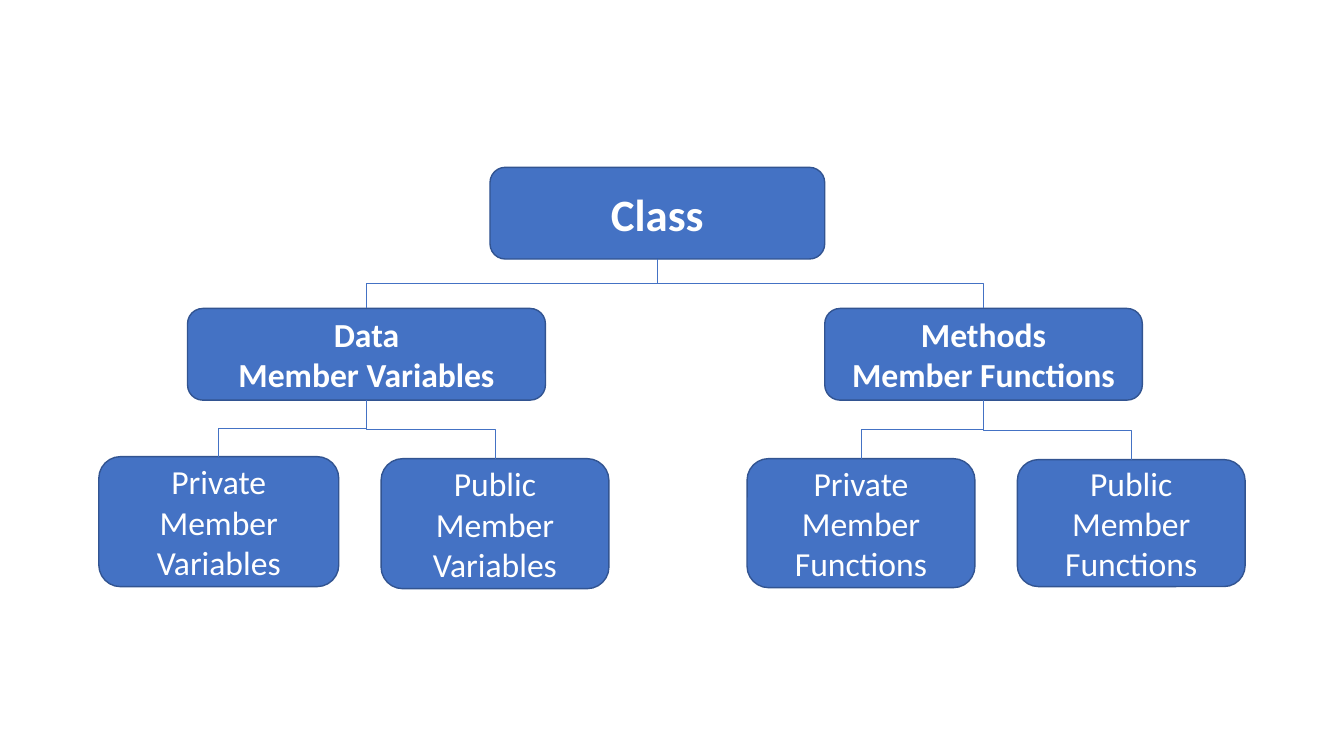
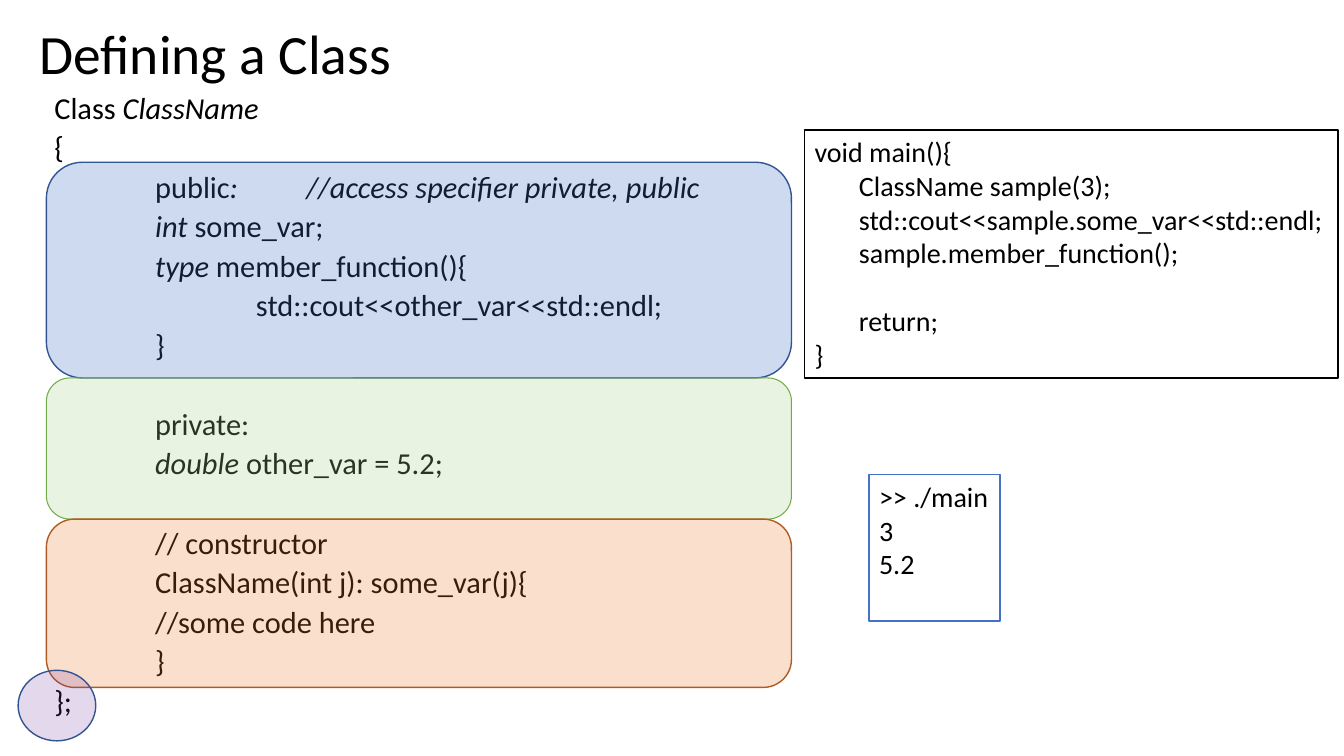
from dataclasses import dataclass
from typing import NamedTuple

from lxml import etree
from pptx import Presentation
from pptx.dml.color import RGBColor
from pptx.enum.shapes import MSO_CONNECTOR, MSO_SHAPE
from pptx.enum.text import MSO_ANCHOR, PP_ALIGN
from pptx.oxml.ns import qn
from pptx.util import Inches, Pt

ELBOW = MSO_CONNECTOR.ELBOW
ROUNDED, OVAL, RECT = MSO_SHAPE.ROUNDED_RECTANGLE, MSO_SHAPE.OVAL, MSO_SHAPE.RECTANGLE
TOP, MIDDLE = MSO_ANCHOR.TOP, MSO_ANCHOR.MIDDLE
LEFT, CENTER = PP_ALIGN.LEFT, PP_ALIGN.CENTER
TITLE_ONLY, BLANK = 5, 6
SITE_TOP, SITE_BOTTOM = 0, 2


@dataclass(frozen=True)
class Theme:
    font: str = "Calibri"
    text: str = "000000"
    white: str = "FFFFFF"
    blue: str = "4472C4"
    blue_line: str = "325491"
    green: str = "A9D18E"
    green_line: str = "70AD47"
    orange: str = "ED7D31"
    orange_line: str = "AF5C24"
    purple: str = "7030A0"
    title_size: float = 39.6
    root_size: float = 32
    node_size: float = 24
    body_size: float = 21.7
    code_size: float = 20


class Box(NamedTuple):
    x: float
    y: float
    w: float
    h: float

    def inner(self, dx, dy, w, h):
        return Box(self.x + dx, self.y + dy, w, h)

    def lengths(self):
        return [Inches(v) for v in self]


T = Theme()


def rgb(color):
    return RGBColor.from_string(color)


def style_runs(p, size, color=T.text, bold=False):
    for r in p.runs:
        r.font.name = T.font
        r.font.size = Pt(size)
        r.font.color.rgb = rgb(color)
        r.font.bold = bold


def add_lines(tf, lines, size, align=LEFT, color=T.text, bold=False):
    tf.text = "\n".join(lines)
    for p in tf.paragraphs:
        p.alignment = align
        style_runs(p, size, color, bold)


def indent(p, inches):
    pPr = p._p.get_or_add_pPr()
    pPr.set("marL", str(Inches(inches)))
    pPr.set("indent", "0")


def add_panel(s, kind, box, fill, line, width=1, alpha=None):
    sp = s.shapes.add_shape(kind, *box.lengths())
    sp.shadow.inherit = False
    sp.fill.solid()
    sp.fill.fore_color.rgb = rgb(fill)
    if alpha is not None:
        color = sp.fill._xPr.find(".//" + qn("a:srgbClr"))
        etree.SubElement(color, qn("a:alpha")).set("val", str(alpha * 1000))
    sp.line.color.rgb = rgb(line)
    sp.line.width = Pt(width)
    return sp


def add_node(s, box, lines, size=T.node_size, bold=False):
    sp = add_panel(s, ROUNDED, box, T.blue, T.blue_line)
    sp.text_frame.word_wrap = True
    sp.text_frame.vertical_anchor = MIDDLE
    add_lines(sp.text_frame, lines, size, CENTER, T.white, bold)
    return sp


def link(s, parent, child):
    x0, y0 = parent.left + parent.width // 2, parent.top + parent.height
    x1, y1 = child.left + child.width // 2, child.top
    cx, cy = (x0 + x1) // 2, (y0 + y1) // 2
    side = 1 if x1 > x0 else -1
    half_w, half_h = side * (y1 - y0) // 2, abs(x1 - x0) // 2
    line = s.shapes.add_connector(ELBOW, x0, y0, x1, y1)
    line.begin_connect(parent, SITE_BOTTOM)
    line.end_connect(child, SITE_TOP)
    line.begin_x, line.begin_y = cx + half_w, cy - half_h
    line.end_x, line.end_y = cx - half_w, cy + half_h
    line.rotation = 270 if side > 0 else 90
    line.line.color.rgb = rgb(T.blue)
    line.line.width = Pt(0.5)
    etree.SubElement(line._element.spPr, qn("a:effectLst"))


def add_class_tree(s, box):
    root = add_node(s, box.inner(3.88, 0, 3.32, 0.91), ["Class"], T.root_size, True)
    branches = [
        ((0.88, 1.4, 3.55, 0.91), ["Data", "Member Variables"], [
            ((0, 2.87, 2.38, 1.29), ["Private", "Member Variables"]),
            ((2.8, 2.89, 2.26, 1.29), ["Public", "Member Variables"])]),
        ((7.2, 1.4, 3.15, 0.91), ["Methods", "Member Functions"], [
            ((6.43, 2.89, 2.26, 1.28), ["Private", "Member Functions"]),
            ((9.11, 2.9, 2.26, 1.26), ["Public", "Member Functions"])]),
    ]
    for place, lines, leaves in branches:
        branch = add_node(s, box.inner(*place), lines, bold=True)
        link(s, root, branch)
        for leaf_place, leaf_lines in leaves:
            link(s, branch, add_node(s, box.inner(*leaf_place), leaf_lines))


def add_title(s, box, text):
    sp = s.shapes.title
    sp.left, sp.top, sp.width, sp.height = box.lengths()
    sp.text_frame.vertical_anchor = MIDDLE
    add_lines(sp.text_frame, [text], T.title_size)
    sp.text_frame.paragraphs[0].line_spacing = 0.9


def add_class_code(s, box):
    gap, section_gap = 10, 38.3
    lines = [
        (0, gap, "Class *ClassName"),
        (0, gap, "{"),
        (1, gap, "public*: \t\t//access specifier private, public"),
        (1, gap, "*int *some_var;"),
        (1, gap, "*type *member_function(){"),
        (2, gap, "std::cout<<other_var<<std::endl;"),
        (1, gap, "}"),
        (1, section_gap, "private:"),
        (1, gap, "*double *other_var = 5.2;"),
        (1, section_gap, "// constructor"),
        (1, gap, "ClassName(int j): some_var(j){"),
        (1, gap, "//some code here"),
        (1, gap, "}"),
        (0, gap, "};"),
    ]
    tf = s.shapes.add_textbox(*box.lengths()).text_frame
    tf.word_wrap = True
    for i, (level, before, text) in enumerate(lines):
        p = tf.add_paragraph() if i else tf.paragraphs[0]
        p.line_spacing = 0.7
        p.space_before = Pt(before)
        indent(p, level)
        for j, part in enumerate(text.split("*")):
            if part:
                r = p.add_run()
                r.text = part
                r.font.italic = j % 2 == 1
        style_runs(p, T.body_size)


def add_sections(s, box):
    sections = [
        (2.14, T.blue, T.blue_line, 1, 26),
        (1.4, T.green, T.green_line, 0.75, 25),
        (1.67, T.orange, T.orange_line, 1, 24),
    ]
    dy = 0
    for height, fill, line, width, alpha in sections:
        add_panel(s, ROUNDED, box.inner(0, dy, box.w, height), fill, line, width, alpha)
        dy += height


def add_code_box(s, box, lines, line_color):
    sp = add_panel(s, RECT, box, T.white, line_color)
    tf = sp.text_frame
    tf.word_wrap = False
    tf.vertical_anchor = TOP
    add_lines(tf, lines, T.code_size)
    return tf


def add_main_code(s, box):
    tf = add_code_box(s, box, [
        "void main(){",
        "ClassName sample(3);",
        "std::cout<<sample.some_var<<std::endl;",
        "sample.member_function();",
        "return;",
        "}",
    ], T.text)
    body = tf.paragraphs[1:-1]
    for p in body:
        indent(p, 0.44)
    body[-1].space_before = Pt(24.4)


def class_tree_slide(prs):
    s = prs.slides.add_slide(prs.slide_layouts[BLANK])
    add_class_tree(s, Box(0.98, 1.66, 11.37, 4.18))


def class_definition_slide(prs):
    s = prs.slides.add_slide(prs.slide_layouts[TITLE_ONLY])
    add_title(s, Box(0.29, 0.21, 11.5, 0.71), "Defining a Class")
    add_class_code(s, Box(0.44, 0.93, 7.62, 6.49))
    add_sections(s, Box(0.46, 1.61, 7.39, 5.21))
    add_panel(s, OVAL, Box(0.18, 6.65, 0.77, 0.7), T.purple, T.blue_line, alpha=19)
    add_main_code(s, Box(7.98, 1.29, 5.29, 2.46))
    add_code_box(s, Box(8.62, 4.71, 1.3, 1.45), [">> ./main", "3", "5.2"], T.blue)


prs = Presentation()
prs.slide_width, prs.slide_height = Inches(13.33), Inches(7.5)
class_tree_slide(prs)
class_definition_slide(prs)
prs.save("out.pptx")
